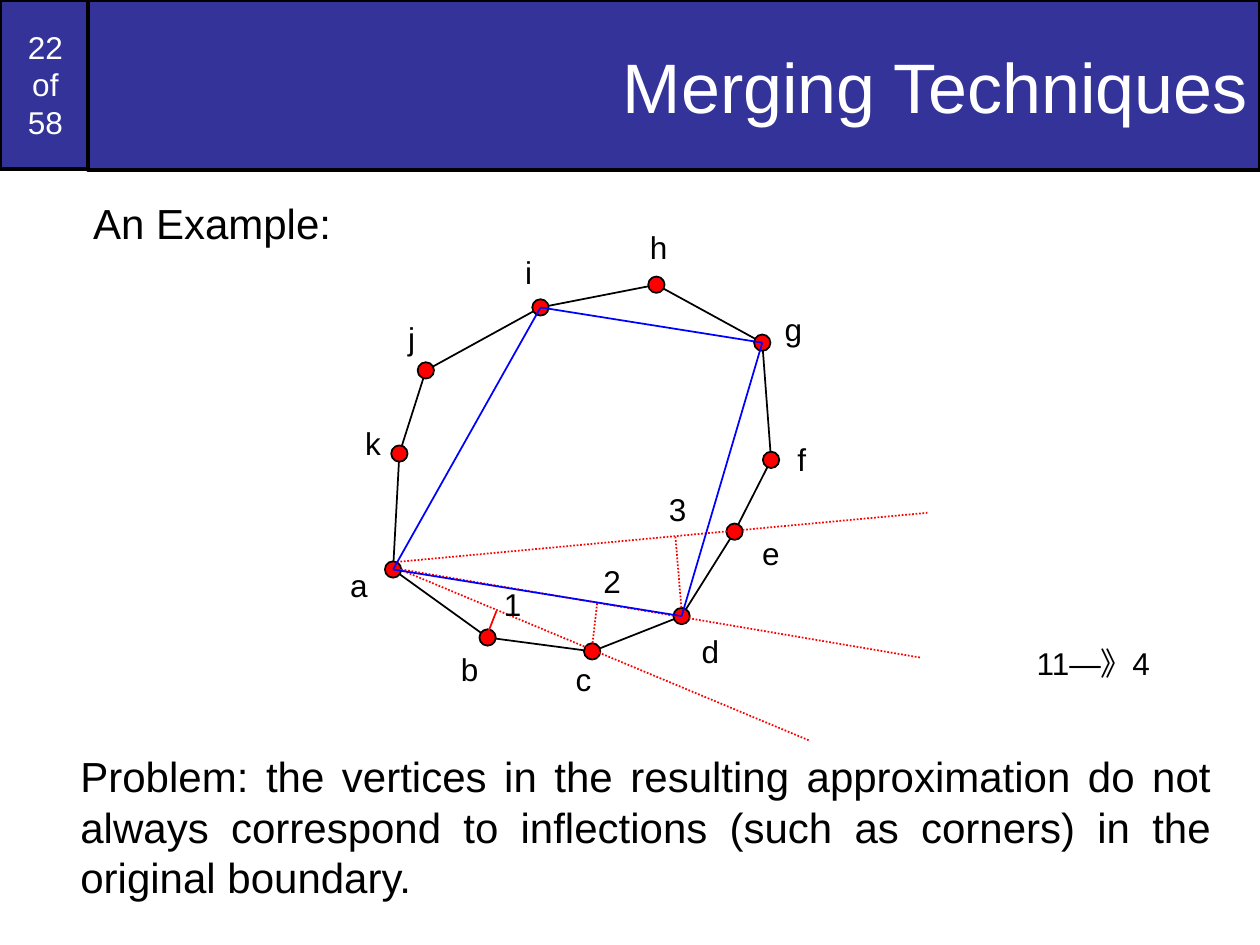
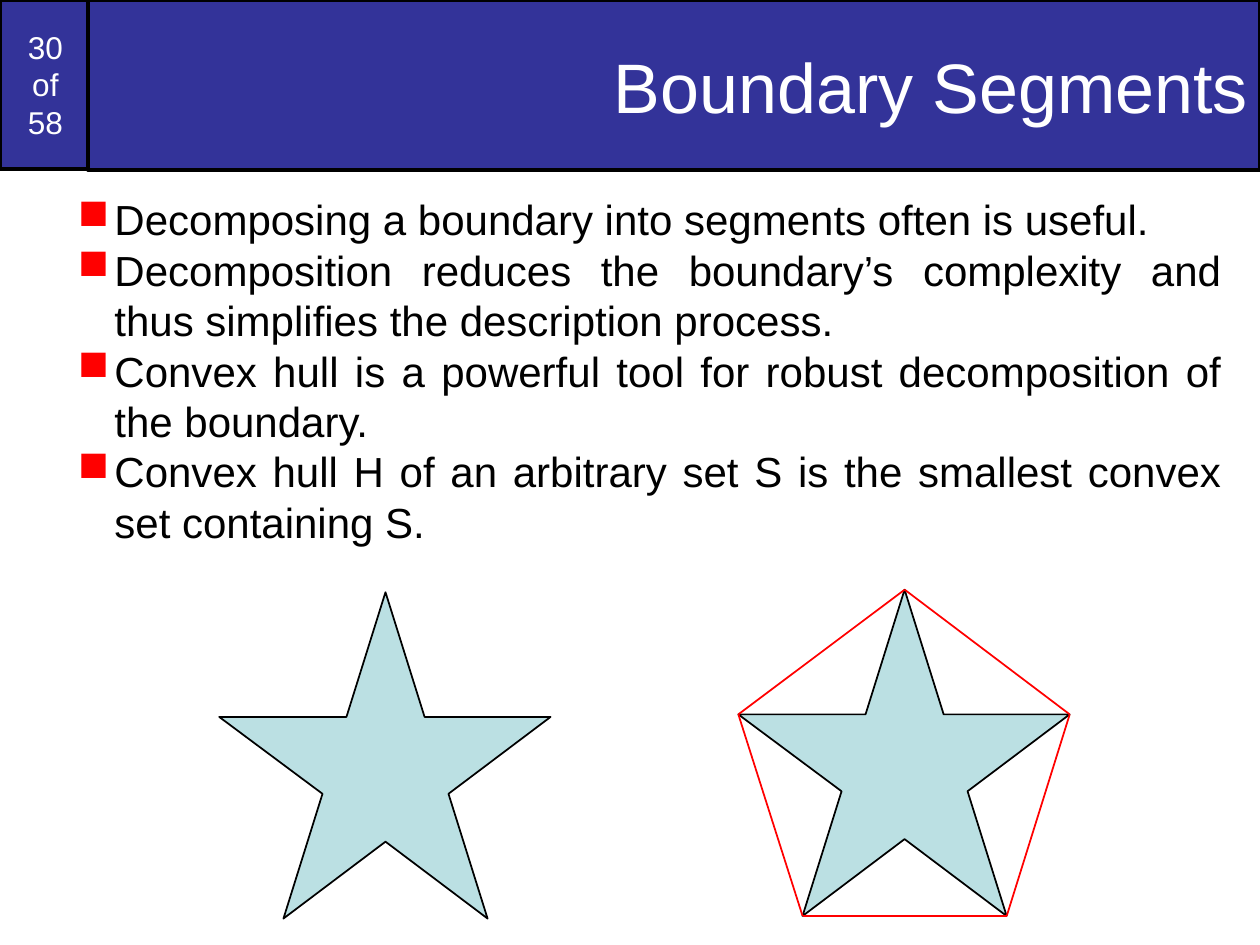
"""Builds two slides on merging techniques and boundary segments."""
from itertools import pairwise
from lxml.etree import SubElement
from pptx import Presentation
from pptx.dml.color import RGBColor
from pptx.enum.dml import MSO_LINE as Dash
from pptx.enum.shapes import MSO_CONNECTOR as Conn, MSO_SHAPE as Kind
from pptx.enum.text import MSO_ANCHOR as Anchor, MSO_AUTO_SIZE as Fit, PP_ALIGN as Align
from pptx.oxml.ns import qn
from pptx.util import Inches, Pt

FONT = "Arial"
NAVY, BLACK, WHITE = "333399", "000000", "FFFFFF"
RED, BLUE, TEAL = "FF0000", "0000FF", "BBE0E3"
TOTAL = 58

DOT = 0.13
DOTS = {
    "a": (3.12, 4.52), "b": (3.87, 5.06), "c": (4.7, 5.17), "d": (5.41, 4.89),
    "e": (5.83, 4.22), "f": (6.12, 3.65), "g": (6.05, 2.72), "h": (5.21, 2.26),
    "i": (4.29, 2.44), "j": (3.38, 2.94), "k": (3.17, 3.6),
}
MERGED = "dgiad"
RAYS = [((3.15, 4.51), (6.43, 5.88)), ((3.13, 4.51), (7.31, 5.22)), ((3.15, 4.46), (7.36, 4.07))]
ERRORS = [
    ((3.87, 5.03), (3.94, 4.85), None),
    ((4.7, 5.13), (4.74, 4.78), Dash.ROUND_DOT),
    ((5.41, 4.85), (5.36, 4.25), Dash.ROUND_DOT),
]
LABELS = [
    ("a", 2.68, 4.44, 0.34), ("b", 3.56, 5.11, 0.34), ("c", 4.47, 5.19, 0.32),
    ("d", 5.47, 4.97, 0.34), ("e", 5.95, 4.19, 0.34), ("f", 6.23, 3.44, 0.27),
    ("g", 6.13, 2.41, 0.34), ("h", 5.06, 1.76, 0.34), ("i", 4.07, 1.96, 0.25),
    ("j", 3.14, 2.48, 0.25), ("k", 2.8, 3.32, 0.32),
    ("1", 3.9, 4.59, 0.34), ("2", 4.69, 4.41, 0.34), ("3", 5.21, 3.84, 0.34),
    ("11—》4", 8.13, 5.06, 1.23),
]
PROBLEM = ("Problem: the vertices in the resulting approximation do not always correspond "
           "to inflections (such as corners) in the original boundary.")

POINTS = [
    "Decomposing a boundary into segments often is useful.",
    "Decomposition reduces the boundary’s complexity and thus simplifies the description process.",
    "Convex hull is a powerful tool for robust decomposition of the boundary.",
    "Convex hull H of an arbitrary set S is the smallest convex set containing S.",
]
STAR = [(0, 0.99), (1.01, 0.99), (1.32, 0), (1.63, 0.99), (2.63, 0.99),
        (1.82, 1.6), (2.13, 2.59), (1.32, 1.98), (0.51, 2.59), (0.82, 1.6)]
STARS = [(1.74, 4.7), (5.86, 4.68)]


def color(code):
    return RGBColor.from_string(code)


def paint(shape, fill, width):
    shape.shadow.inherit = False
    shape.fill.solid()
    shape.fill.fore_color.rgb = color(fill)
    shape.line.color.rgb = color(BLACK)
    shape.line.width = Pt(width)


def write(shape, lines, size, ink=BLACK, align=Align.LEFT, wrap=True, bullet=None):
    frame = shape.text_frame
    frame.word_wrap = wrap
    frame.text = "\n".join(lines)
    for para in frame.paragraphs:
        if bullet:
            props = para._p.get_or_add_pPr()
            props.set("marL", str(Inches(0.29)))
            props.set("indent", str(Inches(-0.29)))
            tint = SubElement(props, qn("a:buClr"))
            SubElement(tint, qn("a:srgbClr"), val=RED)
            SubElement(props, qn("a:buChar"), char=bullet)
        para.alignment = align
        para.font.name, para.font.size = FONT, Pt(size)
        para.font.color.rgb = color(ink)


def label(slide, lines, box, size, **style):
    shape = slide.shapes.add_textbox(*map(Inches, box))
    write(shape, lines, size, **style)
    shape.text_frame.auto_size = Fit.SHAPE_TO_FIT_TEXT


def band(slide, box, text, size, align):
    shape = slide.shapes.add_shape(Kind.RECTANGLE, *map(Inches, box))
    paint(shape, NAVY, 2)
    write(shape, [text], size, WHITE, align)
    shape.text_frame.vertical_anchor = Anchor.MIDDLE


def line(slide, start, end, ink, dash=None):
    link = slide.shapes.add_connector(Conn.STRAIGHT, *map(Inches, (*start, *end)))
    SubElement(link._element.spPr, qn("a:effectLst"))
    link.line.color.rgb = color(ink)
    link.line.width = Pt(1)
    if dash:
        link.line.dash_style = dash


def chain(slide, spots, ink):
    for start, end in pairwise(spots):
        line(slide, start, end, ink)


def page(deck, number, title):
    slide = deck.slides.add_slide(deck.slide_layouts[6])
    band(slide, (0, 0, 0.72, 1.34), f"{number}\vof\v{TOTAL}", 18, Align.CENTER)
    band(slide, (0.7, 0, 9.3, 1.35), title, 40, Align.RIGHT)
    return slide


def merging(deck):
    slide = page(deck, 22, "Merging Techniques")
    spots = list(DOTS.values())
    chain(slide, spots + spots[:1], BLACK)
    for x, y in spots:
        box = (x - DOT / 2, y - DOT / 2, DOT, DOT)
        paint(slide.shapes.add_shape(Kind.OVAL, *map(Inches, box)), RED, 1)
    for start, end in RAYS:
        line(slide, start, end, RED, Dash.ROUND_DOT)
    for start, end, dash in ERRORS:
        line(slide, start, end, RED, dash)
    chain(slide, [DOTS[name] for name in MERGED], BLUE)
    for text, x, y, width in LABELS:
        label(slide, [text], (x, y, width, 0.4), 18, wrap=False)
    label(slide, ["An Example:"], (0.64, 1.52, 2.09, 0.5), 24, wrap=False)
    label(slide, [PROBLEM], (0.54, 5.91, 9.17, 1.3), 24, align=Align.JUSTIFY)


def segments(deck):
    slide = page(deck, 30, "Boundary Segments")
    label(slide, POINTS, (0.52, 1.49, 9.27, 2.9), 24, align=Align.JUSTIFY, bullet="■")
    for left, top in STARS:
        spots = [(left + x, top + y) for x, y in STAR]
        first, *rest = [tuple(map(Inches, spot)) for spot in spots]
        pen = slide.shapes.build_freeform(*first)
        pen.add_line_segments(rest, close=True)
        paint(pen.convert_to_shape(), TEAL, 1)
    tips = spots[::2]
    chain(slide, tips + tips[:1], RED)


def main():
    deck = Presentation()
    deck.slide_width, deck.slide_height = Inches(10), Inches(7.5)
    merging(deck)
    segments(deck)
    deck.save("out.pptx")


if __name__ == "__main__":
    main()
